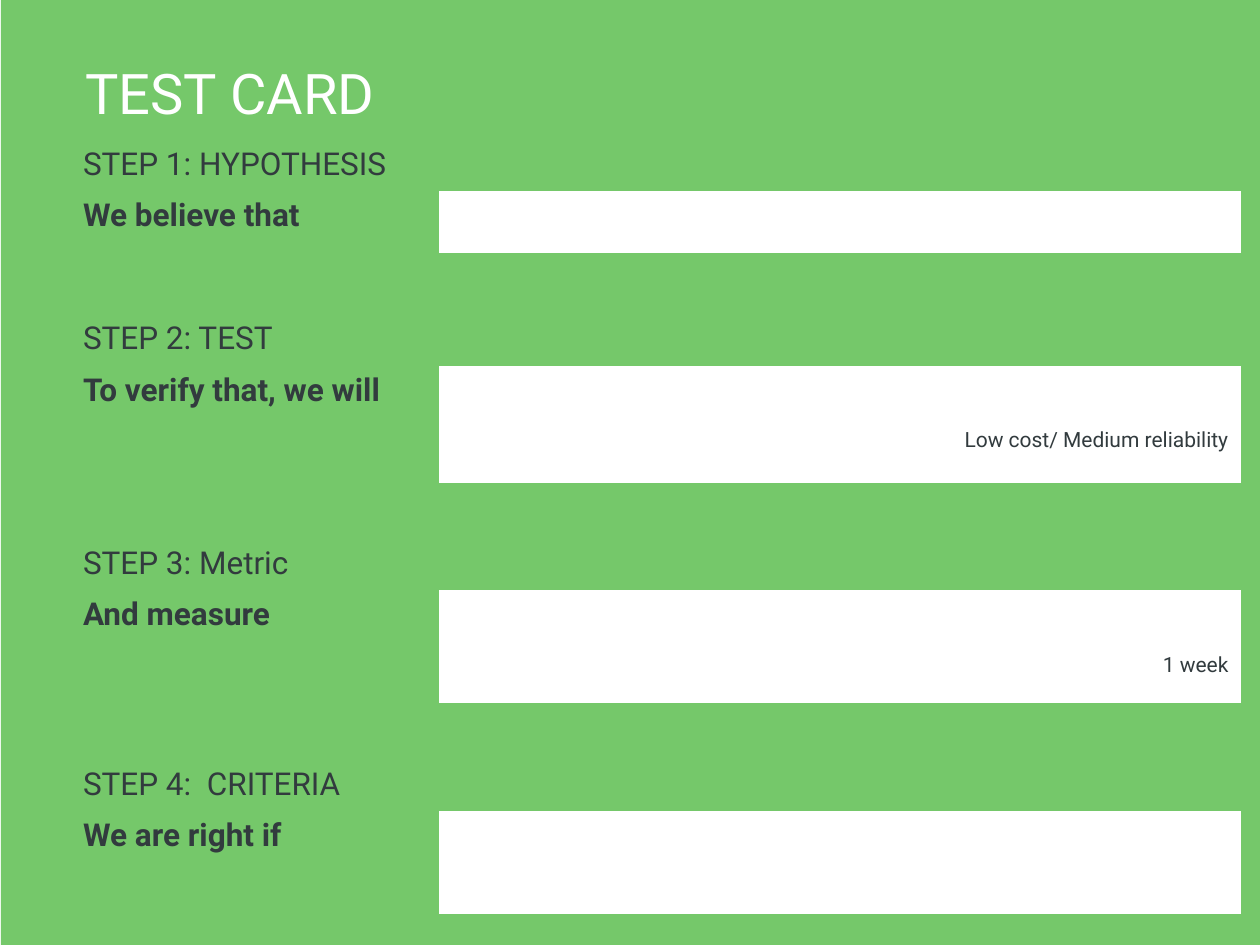
from dataclasses import dataclass

import pptx
import pptx.dml.color
import pptx.enum.shapes
import pptx.enum.text
import pptx.util

Cm, Pt = pptx.util.Cm, pptx.util.Pt
Align = pptx.enum.text.PP_ALIGN
GREEN = pptx.dml.color.RGBColor(0x75, 0xC8, 0x6A)
WHITE = pptx.dml.color.RGBColor(0xFF, 0xFF, 0xFF)
DARK = pptx.dml.color.RGBColor(0x32, 0x3B, 0x3E)
NO_GRID = "{2D5ABB26-0587-4C30-8999-92F81FD0307C}"
HEAD = {"size": Pt(18), "bold": False}
LEAD = {"size": Pt(18), "bold": True}
NOTE = {"size": Pt(12), "bold": False}


@dataclass
class Step:
    """One step: a heading row, field rows (the last may hold a note), a gap row."""
    head: str
    lead: str
    rows: list[float]
    note: str = ""


STEPS = [
    Step("STEP 1: HYPOTHESIS", "We believe that", [1.04, 1.24, 1.24]),
    Step("STEP 2: TEST", "To verify that, we will", [1.02, 1.14, 1.22, 1.14],
         "Low cost/ Medium reliability"),
    Step("STEP 3: Metric", "And measure", [1.02, 1.14, 1.14, 1.14], "1 week"),
    Step("STEP 4:  CRITERIA", "We are right if", [1.02, 2.08, 0.64]),
]
COLS = [7.42, 16.18, 0.69]


def write(frame, text: str, style: dict, color, align=Align.LEFT) -> None:
    par = frame.paragraphs[0]
    par.alignment = align
    run = par.add_run()
    run.text = text
    run.font.name = "Roboto"
    run.font.color.rgb = color
    for key, value in style.items():
        setattr(run.font, key, value)


def paint(shape, color) -> None:
    shape.fill.solid()
    shape.fill.fore_color.rgb = color


def fill_step(table, top: int, step: Step) -> None:
    """Write one step into the table, starting at row top."""
    last = top + len(step.rows) - 2
    for row in range(top + 1, last + 1):
        paint(table.cell(row, 1), WHITE)
    table.cell(top, 0).merge(table.cell(top, 1))
    if last > top + 1:
        table.cell(top + 1, 0).merge(table.cell(last, 0))
    write(table.cell(top, 0).text_frame, step.head, HEAD, DARK)
    write(table.cell(top + 1, 0).text_frame, step.lead, LEAD, DARK)
    if step.note:
        write(table.cell(last, 1).text_frame, step.note, NOTE, DARK, Align.RIGHT)


def add_card(slide) -> None:
    rows = [height for step in STEPS for height in step.rows]
    table = slide.shapes.add_table(len(rows), len(COLS), Cm(1.42), Cm(2.82),
                                   Cm(sum(COLS)), Cm(sum(rows))).table
    table.first_row = table.horz_banding = False
    table._tbl.tblPr[0].text = NO_GRID
    for col, width in zip(table.columns, COLS):
        col.width = Cm(width)
    for row, height in zip(table.rows, rows):
        row.height = Cm(height)
    for cell in table.iter_cells():
        paint(cell, GREEN)
    top = 0
    for step in STEPS:
        fill_step(table, top, step)
        top += len(step.rows)


def add_title(slide) -> None:
    title = slide.shapes.title
    place = {"left": 1.47, "top": 1.02, "width": 21.67, "height": 1.4}
    for key, value in place.items():
        setattr(title, key, Cm(value))
    frame = title.text_frame
    frame.word_wrap = True
    frame.auto_size = pptx.enum.text.MSO_AUTO_SIZE.NONE
    frame.vertical_anchor = pptx.enum.text.MSO_ANCHOR.MIDDLE
    frame.paragraphs[0].line_spacing = 1.2
    write(frame, "TEST CARD", {"size": Pt(32)}, WHITE)
    slide.shapes._spTree.append(title._element)  # bring to front


def main() -> None:
    deck = pptx.Presentation()
    deck.slide_width, deck.slide_height = Cm(25.4), Cm(19.05)
    slide = deck.slides.add_slide(deck.slide_layouts[5])
    back = slide.shapes.add_shape(pptx.enum.shapes.MSO_SHAPE.RECTANGLE,
                                  Cm(0.02), 0, Cm(25.4), Cm(19.05))
    paint(back, GREEN)
    back.line.fill.background()
    back.shadow.inherit = False
    add_card(slide)
    add_title(slide)
    deck.save("out.pptx")


if __name__ == "__main__":
    main()
